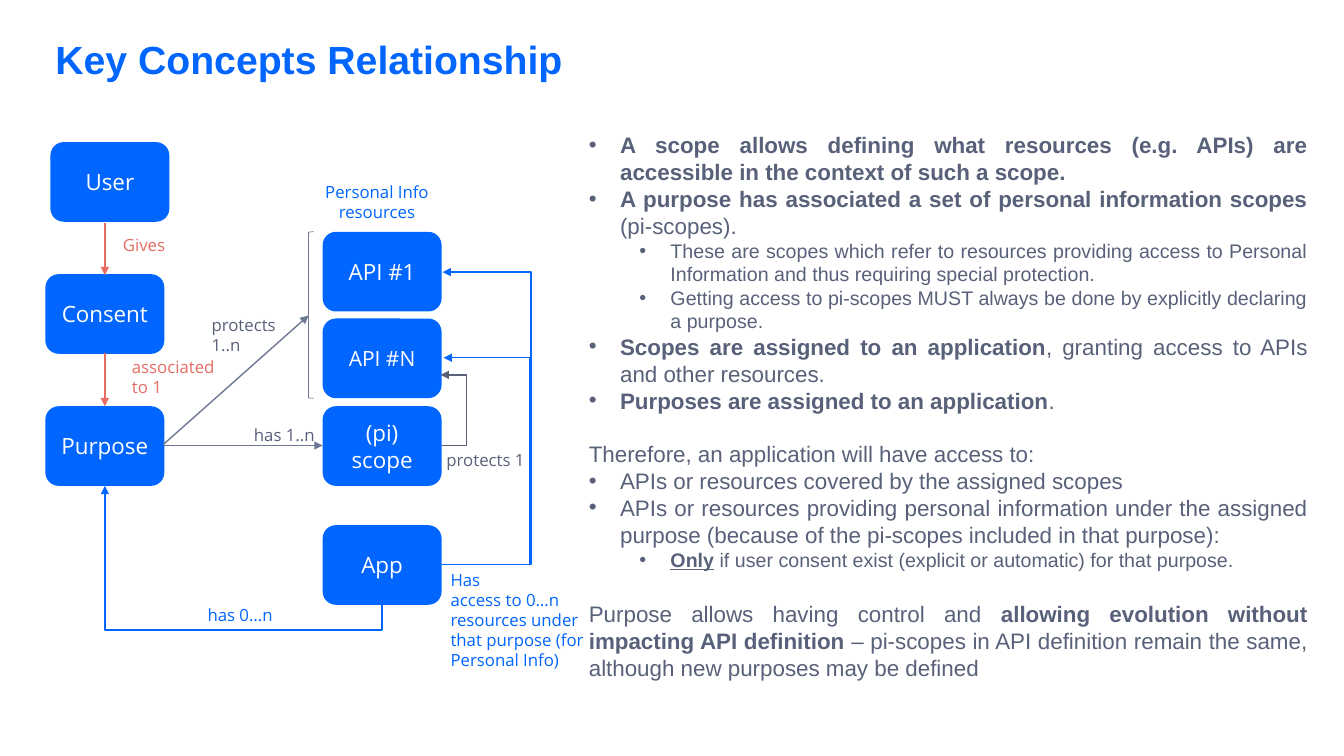
"""Build the slide that relates users, consents, purposes, scopes and APIs."""
from lxml.etree import SubElement
from pptx import Presentation
from pptx.dml.color import RGBColor
from pptx.enum.shapes import MSO_CONNECTOR as LINK, MSO_SHAPE as SHAPE
from pptx.enum.text import MSO_ANCHOR as ANCHOR, MSO_AUTO_SIZE as AUTOSIZE, PP_ALIGN as ALIGN
from pptx.oxml.ns import qn
from pptx.util import Inches, Pt

BLUE, LABEL_BLUE, WHITE = "0066FF", "0165FF", "FFFFFF"
SLATE, GREY, CORAL = "586179", "6E7893", "E66C64"


def color(value):
    return RGBColor.from_string(value)


def write(paragraph, text, font="Open Sans", size=12, ink=SLATE, bold=False,
          underline=False, align=ALIGN.LEFT, before=0, spacing=1.0):
    paragraph.alignment = align
    paragraph.space_before, paragraph.space_after = Pt(before), Pt(0)
    paragraph.line_spacing = spacing
    for index, part in enumerate(text.split("*")):
        if part:
            strong = index % 2 == 1
            run = paragraph.add_run()
            run.text = part
            run.font.name, run.font.size = font, Pt(size)
            run.font.color.rgb = color(ink)
            run.font.bold = bold or strong
            run.font.underline = underline and strong


class ConceptSlide:
    box_width, box_height = 1.18, 0.79

    def __init__(self, deck):
        self.slide = deck.slides.add_slide(deck.slide_layouts[1])
        self.shapes = self.slide.shapes

    def place(self, shape, left, top, width, height):
        shape.left, shape.top = Inches(left), Inches(top)
        shape.width, shape.height = Inches(width), Inches(height)

    def title(self, text):
        heading = self.shapes.title
        self.place(heading, 0.45, 0.35, 12.31, 0.88)
        heading.text_frame.vertical_anchor = ANCHOR.TOP
        heading.text_frame.auto_size = AUTOSIZE.NONE
        write(heading.text_frame.paragraphs[0], text, font="Arial", size=28,
              ink=BLUE, bold=True, spacing=0.9)

    def body(self, entries):
        explanation = self.slide.placeholders[1]
        self.place(explanation, 5.84, 1.22, 7.13, 5.62)
        explanation.fill.solid()
        explanation.fill.fore_color.rgb = color(WHITE)
        frame = explanation.text_frame
        frame.auto_size, frame.vertical_anchor = AUTOSIZE.NONE, ANCHOR.MIDDLE
        frame.margin_left = frame.margin_right = frame.margin_top = frame.margin_bottom = 0
        for index, (level, text, before) in enumerate(entries):
            paragraph = frame.add_paragraph() if index else frame.paragraphs[0]
            paragraph.level = max(level, 0)
            write(paragraph, text, font="Arial", size=14 if level == 1 else 16,
                  underline=level == 1, align=ALIGN.JUSTIFY, before=before)
            self.bullet(paragraph, level)

    def bullet(self, paragraph, level):
        properties = paragraph._p.get_or_add_pPr()
        bulleted = level >= 0
        properties.set("marL", str(Inches(0.31 + 0.5 * level) if bulleted else 0))
        properties.set("indent", str(Inches(-0.31) if bulleted else 0))
        if bulleted:
            SubElement(properties, qn("a:buFont"), typeface="Arial")
            SubElement(properties, qn("a:buChar"), char="•")
        else:
            SubElement(properties, qn("a:buNone"))

    def concept(self, text, left, top, size=16):
        box = self.shapes.add_shape(
            SHAPE.ROUNDED_RECTANGLE, Inches(left), Inches(top),
            Inches(self.box_width), Inches(self.box_height))
        box.shadow.inherit = False
        box.fill.solid()
        box.fill.fore_color.rgb = color(BLUE)
        box.line.fill.background()
        self.lines(box.text_frame, text, ink=WHITE, size=size, align=ALIGN.CENTER)
        box.text_frame.vertical_anchor = ANCHOR.MIDDLE

    def label(self, text, left, top, width, height, ink=SLATE, align=ALIGN.LEFT):
        note = self.shapes.add_textbox(
            Inches(left), Inches(top), Inches(width), Inches(height))
        self.lines(note.text_frame, text, ink=ink, align=align)

    def lines(self, frame, text, **style):
        frame.word_wrap = True
        for index, line in enumerate(text.split("\n")):
            paragraph = frame.add_paragraph() if index else frame.paragraphs[0]
            write(paragraph, line, **style)

    def bracket(self, left, top, width, height):
        brace = self.shapes.add_shape(
            SHAPE.LEFT_BRACKET, Inches(left), Inches(top), Inches(width), Inches(height))
        brace.shadow.inherit = False
        brace.fill.background()
        brace.line.color.rgb = color(GREY)
        brace.line.width = Pt(0.5)

    def arrow(self, start, end, ink, kind=LINK.STRAIGHT):
        link = self.shapes.add_connector(kind, *map(Inches, start + end))
        link.line.color.rgb = color(ink)
        link.line.width = Pt(1)
        properties = link._element.spPr
        SubElement(properties.find(qn("a:ln")), qn("a:tailEnd"), type="triangle")
        SubElement(properties, qn("a:effectLst"))
        return properties

    def elbow(self, start, end, bend, ink, vertical=False):
        axis = 1 if vertical else 0
        ratio = (bend - start[axis]) / (end[axis] - start[axis])
        if vertical:
            x, y = (start[0] + end[0]) / 2, (start[1] + end[1]) / 2
            start, end = [(x + py - y, y - px + x) for px, py in (start, end)]
        properties = self.arrow(start, end, ink, LINK.ELBOW)
        if vertical:
            properties.find(qn("a:xfrm")).set("rot", "5400000")
        guides = properties.find(qn("a:prstGeom")).find(qn("a:avLst"))
        SubElement(guides, qn("a:gd"), name="adj1", fmla=f"val {round(ratio * 100000)}")


def main():
    deck = Presentation()
    deck.slide_width, deck.slide_height = Inches(13.33), Inches(7.5)
    page = ConceptSlide(deck)
    page.title("Key Concepts Relationship")
    page.body([
        (0, "*A scope allows defining what resources (e.g. APIs) are accessible "
            "in the context of such a scope.*", 0),
        (0, "*A purpose has associated a set of personal information scopes *(pi-scopes).", 0),
        (1, "These are scopes which refer to resources providing access to Personal "
            "Information and thus requiring special protection.", 0),
        (1, "Getting access to pi-scopes MUST always be done by explicitly "
            "declaring a purpose.", 0),
        (0, "*Scopes are assigned to an application*, granting access to APIs "
            "and other resources.", 0),
        (0, "*Purposes are assigned to an application*.", 0),
        (-1, "Therefore, an application will have access to:", 19),
        (0, "APIs or resources covered by the assigned scopes", 0),
        (0, "APIs or resources providing personal information under the assigned purpose "
            "(because of the pi-scopes included in that purpose):", 0),
        (1, "*Only* if user consent exist (explicit or automatic) for that purpose.", 0),
        (-1, "Purpose allows having control and *allowing evolution without impacting API "
             "definition* – pi-scopes in API definition remain the same, although new "
             "purposes may be defined", 21),
    ])

    user_side, api_side, top_row, row_step = 0.45, 3.2, 1.41, 1.31
    for row, (name, shift) in enumerate([("User", 0.05), ("Consent", 0), ("Purpose", 0)]):
        page.concept(name, user_side + shift, top_row + row * row_step)
    for name, top, size in [("API #1", 2.3, 16), ("API #N", 3.16, 15),
                            ("(pi)\nscope", 4.03, 16), ("App", 5.21, 16)]:
        page.concept(name, api_side, top, size)
    page.bracket(3.06, 2.3, 0.05, 1.65)

    page.arrow((1.04, 2.21), (1.04, 2.73), CORAL)
    page.arrow((1.04, 3.5), (1.04, 4.03), CORAL)
    page.arrow((1.63, 4.42), (3.2, 4.42), GREY)
    page.arrow((1.62, 4.41), (3.06, 3.13), GREY)
    page.elbow((4.38, 5.6), (4.39, 2.7), 5.28, BLUE)
    page.elbow((4.38, 5.6), (4.4, 3.55), 5.25, BLUE)
    page.elbow((4.38, 4.42), (4.37, 3.72), 4.63, SLATE)
    page.elbow((3.79, 6), (1.04, 4.82), 6.25, BLUE, vertical=True)

    page.label("Gives", 1.12, 2.28, 1.07, 0.3, CORAL)
    page.label("associated\nto 1", 1.21, 3.49, 1.07, 0.5, CORAL)
    page.label("protects\n1..n", 2, 3.07, 0.85, 0.5)
    page.label("has 1..n", 2.42, 4.16, 0.81, 0.3)
    page.label("protects 1", 4.33, 4.41, 1.07, 0.3)
    page.label("has 0…n", 1.96, 5.95, 0.85, 0.3, LABEL_BLUE)
    page.label("Has\naccess to 0…n resources under that purpose (for Personal Info)",
               4.37, 5.6, 1.59, 1.11, LABEL_BLUE)
    page.label("Personal Info resources", 3.11, 1.75, 1.26, 0.5, LABEL_BLUE, ALIGN.CENTER)
    deck.save("out.pptx")


if __name__ == "__main__":
    main()
